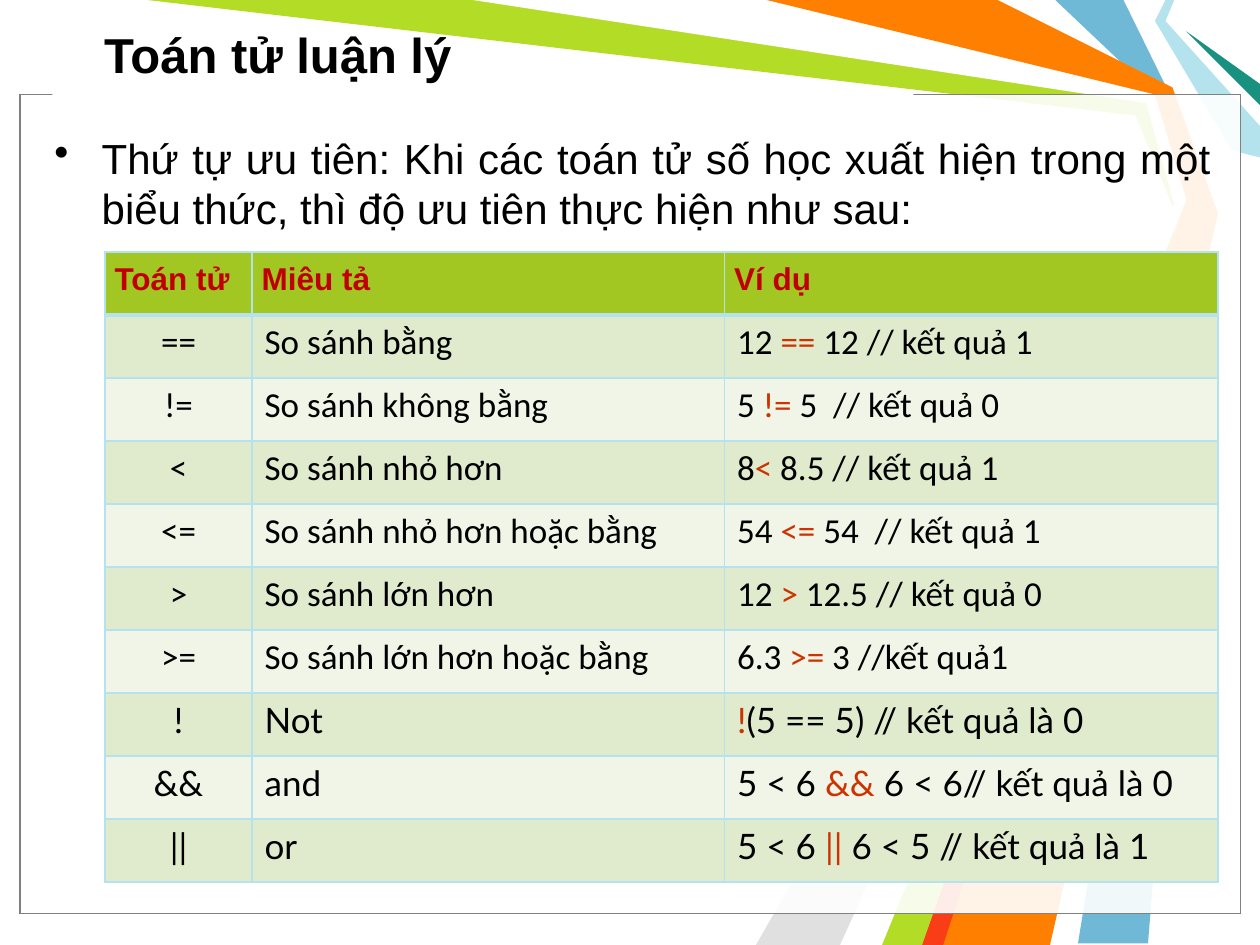
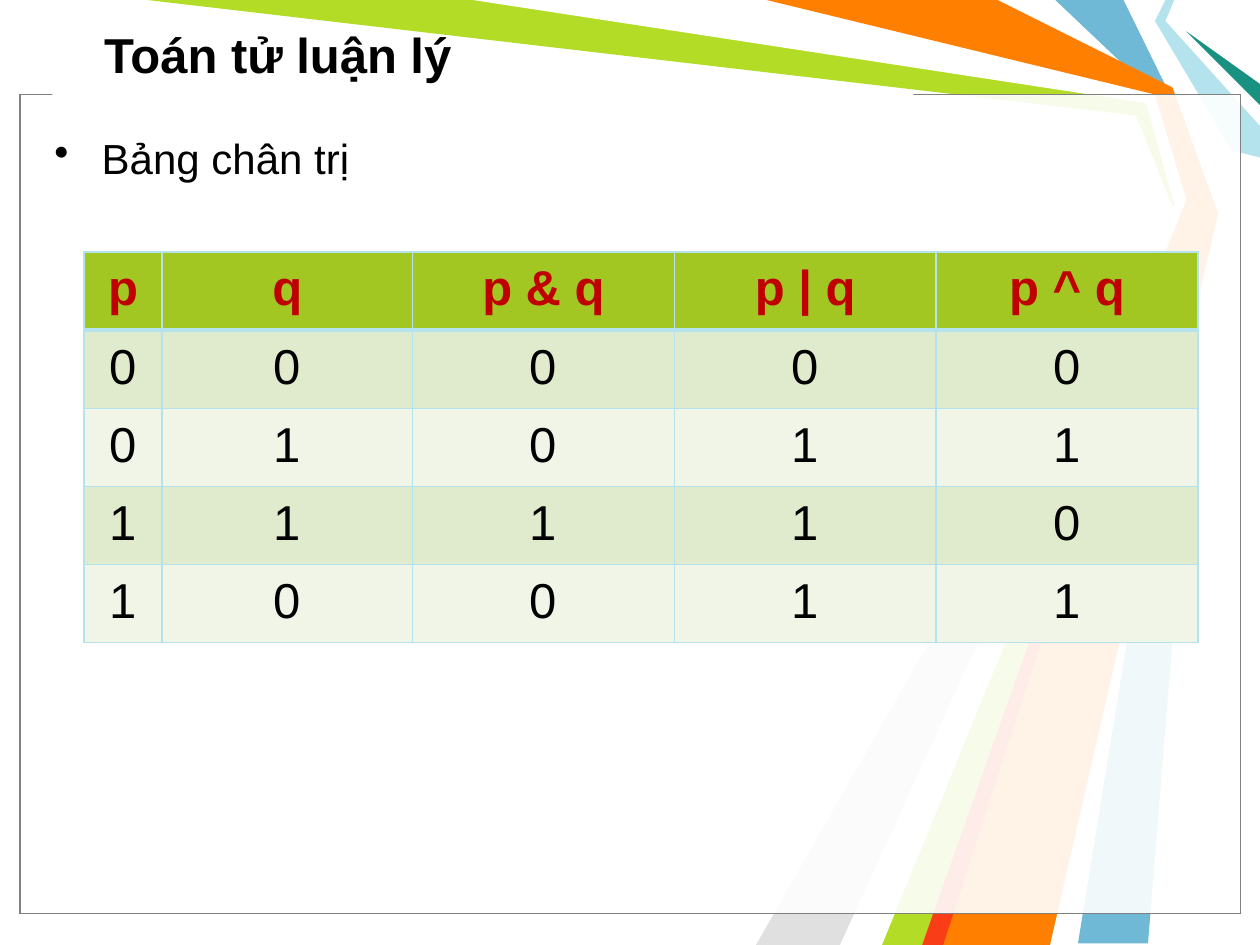
from lxml import etree
from pptx import Presentation
from pptx.dml.color import RGBColor
from pptx.enum.shapes import MSO_SHAPE as SHAPE
from pptx.enum.text import MSO_ANCHOR as ANCHOR, PP_ALIGN as ALIGN
from pptx.oxml.ns import qn
from pptx.util import Pt

COLORS = {
    "black": "000000", "white": "FFFFFF", "frame": "808080",
    "blue": "6FB9D7", "lime": "B3DC27", "silver": "E0E0E0",
    "aqua": "B4E3EE", "teal": "189180", "orange": "FF7F00", "red": "F93D17",
    "header": "A2C722", "band_dark": "E0EBCD", "band_light": "F0F5E8",
    "header_text": "C00000", "operator": "CC3300",
}

# Background ribbons from back to front: colour and corner points.
RIBBONS = [
    ("blue", [(642, 0), (669, 55), (690, 120), (656, 539), (616, 539),
              (684, 120), (660, 54), (603, 0)]),
    ("lime", [(84, 0), (276, 0), (658, 56), (678, 122), (534, 540),
              (498, 540), (673, 125), (649, 66)]),
    ("silver", [(480, 540), (667, 130), (432, 540)]),
    ("white", [(270, 0), (655, 59), (671, 117), (486, 540), (504, 540),
               (678, 114), (660, 54), (432, 0)]),
    ("aqua", [(666, 0), (660, 12), (704, 86), (720, 90), (720, 72),
              (666, 12), (671, 0)]),
    ("teal", [(720, 60), (678, 18), (720, 48)]),
    ("orange", [(438, 0), (570, 0), (670, 50), (696, 122), (600, 540),
                (528, 540), (678, 114), (660, 54)]),
    ("red", [(527, 540), (671, 132), (539, 540)]),
]

# Operator, description, example (before, operator, after), font.
OPERATORS = [
    ("==", "So sánh bằng", ("12 ", "==", " 12 // kết quả 1"), "Calibri"),
    ("!=", "So sánh không bằng", ("5 ", "!=", " 5  // kết quả 0"), "Calibri"),
    ("<", "So sánh nhỏ hơn", ("8", "<", " 8.5 // kết quả 1"), "Calibri"),
    ("<=", "So sánh nhỏ hơn hoặc bằng", ("54 ", "<=", " 54  // kết quả 1"), "Calibri"),
    (">", "So sánh lớn hơn", ("12 ", ">", " 12.5 // kết quả 0"), "Calibri"),
    (">=", "So sánh lớn hơn hoặc bằng", ("6.3 ", ">=", " 3 //kết quả1"), "Calibri"),
    ("!", "Not", ("", "!", "(5 == 5) // kết quả là 0"), "Lato"),
    ("&&", "and", ("5 < 6 ", "&& ", "6 < 6// kết quả là 0"), "Lato"),
    ("||", "or", ("5 < 6 ", "||", " 6 < 5 // kết quả là 1"), "Lato"),
]
TRUTH_ROWS = ["00000", "01011", "11110", "10011"]


def rgb(name):
    """Return the palette colour with this name."""
    return RGBColor.from_string(COLORS[name])


def style_shape(sp, fill, line=None, alpha=None):
    """Give a shape a flat fill, an optional thin line and opacity in percent."""
    sp.shadow.inherit = False
    sp.fill.solid()
    sp.fill.fore_color.rgb = rgb(fill)
    if alpha:
        color = sp.fill._xPr.find(qn("a:solidFill"))[0]
        etree.SubElement(color, qn("a:alpha"), val=str(alpha * 1000))
    if line:
        sp.line.color.rgb = rgb(line)
        sp.line.width = Pt(0.75)
    else:
        sp.line.fill.background()


def add_ribbon(s, color, points):
    """Draw one closed ribbon through points."""
    builder = s.shapes.build_freeform(*points[0], scale=Pt(1))
    builder.add_line_segments(points[1:], close=True)
    style_shape(builder.convert_to_shape(), color)


def add_rect(s, x, y, w, h, line=None, alpha=None):
    """Draw a white rectangle."""
    sp = s.shapes.add_shape(SHAPE.RECTANGLE, Pt(x), Pt(y), Pt(w), Pt(h))
    style_shape(sp, "white", line, alpha)


def set_font(p, name, size, color="black", bold=False):
    """Set the font of a whole paragraph."""
    p.font.name = name
    p.font.size = Pt(size)
    p.font.bold = bold
    p.font.color.rgb = rgb(color)


def add_text(s, x, y, w, h, text, size, bold=False):
    """Add a wrapped one-paragraph text box and return its text frame."""
    tf = s.shapes.add_textbox(Pt(x), Pt(y), Pt(w), Pt(h)).text_frame
    tf.word_wrap = True
    p = tf.paragraphs[0]
    p.text = text
    set_font(p, "Arial", size, bold=bold)
    return tf


def add_bullet(s, text):
    """Add the justified bullet paragraph of the body."""
    p = add_text(s, 24, 72, 675, 444, text, 24).paragraphs[0]
    p.alignment = ALIGN.JUSTIFY
    p.space_before = Pt(4.8)
    ppr = p._p.get_or_add_pPr()
    ppr.set("marL", str(Pt(27)))
    ppr.set("indent", str(Pt(-27)))
    bullet = etree.Element(qn("a:buChar"), char="•")
    ppr.find(qn("a:spcBef")).addnext(bullet)


def add_slide(prs, bullet):
    """Add a slide with the shared background, frame, title and a bullet."""
    s = prs.slides.add_slide(prs.slide_layouts[6])
    s.background.fill.solid()
    s.background.fill.fore_color.rgb = rgb("white")
    for color, points in RIBBONS:
        add_ribbon(s, color, points)
    for line in ("black", "frame"):
        add_rect(s, 11.5, 54, 697.5, 468, line, alpha=69)
    add_rect(s, 30, 53, 492, 12)
    tf = add_text(s, 52.5, 6, 656, 50, "Toán tử luận lý", 28, bold=True)
    tf.vertical_anchor = ANCHOR.MIDDLE
    add_bullet(s, bullet)
    return s


def set_borders(cell, top, bottom):
    """Draw all four cell borders, with the given top and bottom widths."""
    tcpr = cell._tc.get_or_add_tcPr()
    for side, width in (("L", 1), ("R", 1), ("T", top), ("B", bottom)):
        ln = etree.SubElement(tcpr, qn("a:ln" + side), w=str(Pt(width)))
        fill = etree.SubElement(ln, qn("a:solidFill"))
        etree.SubElement(fill, qn("a:srgbClr"), val=COLORS["aqua"])


def set_insets(cell, inset):
    """Set all four cell margins."""
    cell.margin_left = cell.margin_right = Pt(inset)
    cell.margin_top = cell.margin_bottom = Pt(inset)


def add_grid(s, x, widths, row_height, headers, row_count, header_size, align):
    """Add a banded table with its header row filled in and return it."""
    rows = row_count + 1
    frame = s.shapes.add_table(rows, len(widths), Pt(x), Pt(144),
                               Pt(sum(widths)), Pt(row_height * rows))
    table = frame.table
    for column, width in zip(table.columns, widths):
        column.width = Pt(width)
    for i, row in enumerate(table.rows):
        row.height = Pt(row_height)
        fill = "header" if i == 0 else ("band_light", "band_dark")[i % 2]
        for cell in row.cells:
            set_borders(cell, 3 if i == 1 else 1, 3 if i == 0 else 1)
            cell.fill.solid()
            cell.fill.fore_color.rgb = rgb(fill)
    for j, text in enumerate(headers):
        cell = table.cell(0, j)
        set_insets(cell, 5.5)
        write_cell(cell, [text], "Arial", header_size, align, "header_text", True)
    return table


def write_cell(cell, parts, font, size, align=ALIGN.LEFT, color="black", bold=False):
    """Write text parts into a cell; the second part is the marked operator."""
    p = cell.text_frame.paragraphs[0]
    p.alignment = align
    set_font(p, font, size, color, bold)
    for i, part in enumerate(parts):
        if part:
            r = p.add_run()
            r.text = part
            if i == 1:
                r.font.color.rgb = rgb("operator")


def add_operator_table(s):
    """Add the table of comparison and logical operators."""
    table = add_grid(s, 60, [84, 270, 282], 36, ["Toán tử", "Miêu tả", "Ví dụ"],
                     len(OPERATORS), 18, ALIGN.LEFT)
    for i, (operator, description, example, font) in enumerate(OPERATORS, 1):
        write_cell(table.cell(i, 0), [operator], font, 20, ALIGN.CENTER)
        write_cell(table.cell(i, 1), [description], font, 20)
        write_cell(table.cell(i, 2), example, font, 20)


def add_truth_table(s):
    """Add the truth table of the bitwise operators."""
    table = add_grid(s, 48, [44.6, 143.2] + [149.6] * 3, 43.2,
                     ["p", "q", "p & q", "p | q", "p ^ q"],
                     len(TRUTH_ROWS), 28, ALIGN.CENTER)
    for i, values in enumerate(TRUTH_ROWS, 1):
        for j, value in enumerate(values):
            set_insets(table.cell(i, j), 5.5)
            write_cell(table.cell(i, j), [value], "Arial", 28, ALIGN.CENTER)


def main():
    """Build both slides and save the presentation."""
    prs = Presentation()
    prs.slide_width, prs.slide_height = Pt(720), Pt(540)
    add_operator_table(add_slide(
        prs, "Thứ tự ưu tiên: Khi các toán tử số học xuất hiện trong một "
             "biểu thức, thì độ ưu tiên thực hiện như sau:"))
    add_truth_table(add_slide(prs, "Bảng chân trị"))
    prs.save("out.pptx")


main()
